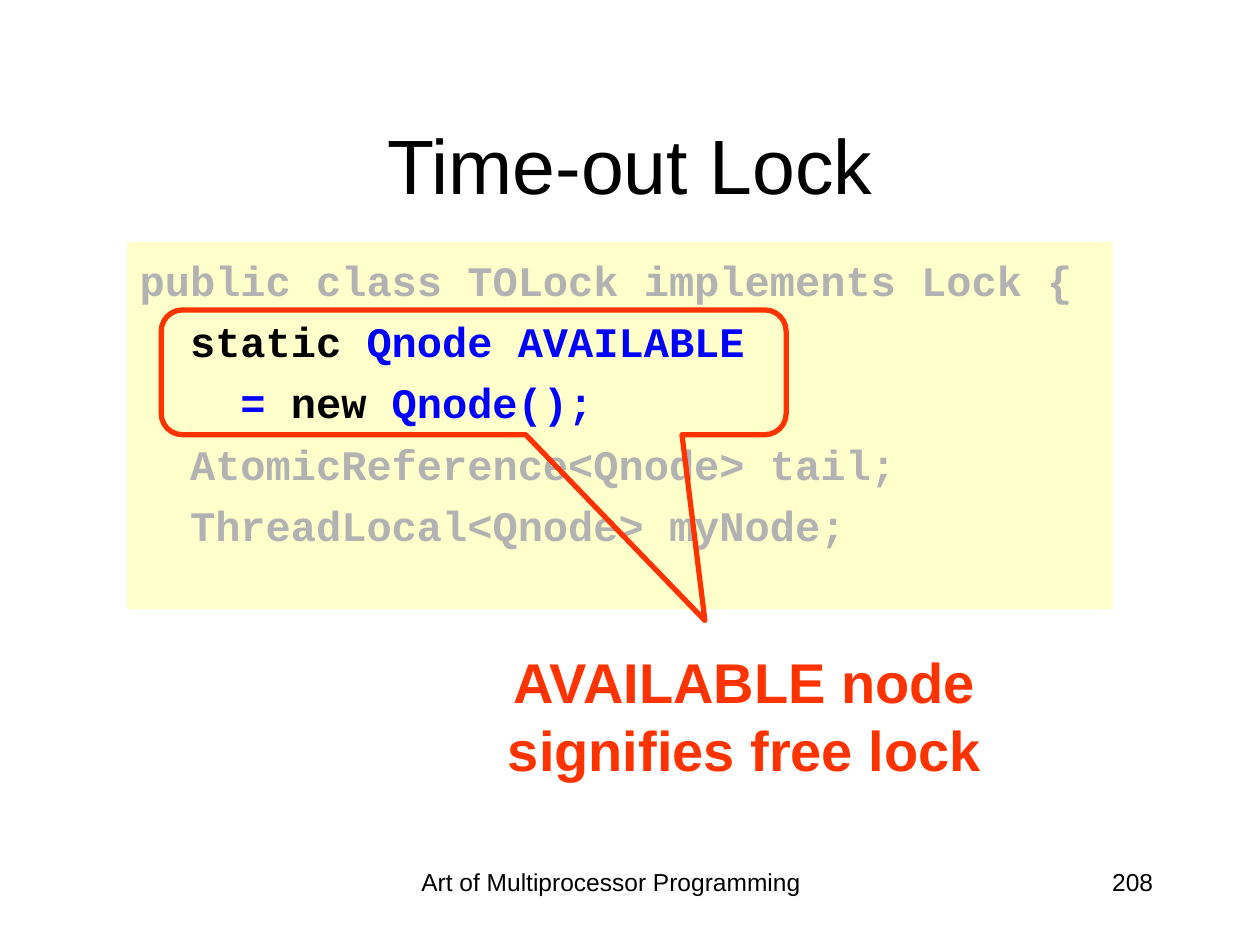
from dataclasses import dataclass

from pptx import Presentation
from pptx.dml.color import RGBColor
from pptx.enum.shapes import MSO_SHAPE
from pptx.enum.text import MSO_ANCHOR, PP_ALIGN
from pptx.util import Inches, Pt

CALLOUT = MSO_SHAPE.ROUNDED_RECTANGULAR_CALLOUT
RECTANGLE = MSO_SHAPE.RECTANGLE
TOP, MIDDLE = MSO_ANCHOR.TOP, MSO_ANCHOR.MIDDLE
LEFT, CENTER, RIGHT = PP_ALIGN.LEFT, PP_ALIGN.CENTER, PP_ALIGN.RIGHT
SLIDE_WIDTH, SLIDE_HEIGHT = 10, 7.5


@dataclass(frozen=True)
class Theme:
    sans: str = "Arial"
    mono: str = "Courier New"
    ink: str = "000000"
    accent: str = "FF3300"
    keyword: str = "000000"
    active: str = "0000FF"
    dimmed: str = "B2B2B2"
    code_fill: str = "FFFFCC"
    title_size: int = 44
    remark_size: int = 32
    code_size: int = 24
    footer_size: int = 14


THEME = Theme()


@dataclass(frozen=True)
class Area:
    """A region given as shares of the slide's width and height."""
    left: float
    top: float
    width: float
    height: float

    def box(self) -> tuple:
        return (Inches(self.left * SLIDE_WIDTH), Inches(self.top * SLIDE_HEIGHT),
                Inches(self.width * SLIDE_WIDTH), Inches(self.height * SLIDE_HEIGHT))


@dataclass(frozen=True)
class Label:
    text: str
    area: Area
    size: int
    align: PP_ALIGN = CENTER
    anchor: MSO_ANCHOR = TOP
    color: str = THEME.ink
    bold: bool = False


@dataclass(frozen=True)
class Token:
    text: str
    color: str


LABELS = (
    Label("Time-out Lock", Area(0.075, 0.09, 0.85, 0.166),
          THEME.title_size, anchor=MIDDLE),
    Label("AVAILABLE node signifies free lock", Area(0.315, 0.679, 0.552, 0.156),
          THEME.remark_size, color=THEME.accent, bold=True),
    Label("Art of Multiprocessor Programming", Area(0.289, 0.911, 0.392, 0.067),
          THEME.footer_size),
    Label("208", Area(0.717, 0.911, 0.208, 0.067), THEME.footer_size, RIGHT),
)

CODE_AREA = Area(0.101, 0.256, 0.782, 0.389)
CODE = (
    (Token("public class TOLock implements Lock {", THEME.dimmed),),
    (Token("  static", THEME.keyword), Token(" Qnode AVAILABLE", THEME.active)),
    (Token("    = ", THEME.active), Token("new", THEME.keyword),
     Token(" Qnode();", THEME.active)),
    (Token("  AtomicReference<Qnode> tail;", THEME.dimmed),),
    (Token("  ThreadLocal<Qnode> myNode;", THEME.dimmed),),
)

CALLOUT_AREA = Area(0.128, 0.328, 0.496, 0.132)
CALLOUT_SHAPE = (0.37, 1.99, 0.17)  # pointer x, pointer y, corner radius


def add_run(paragraph, text: str, font: str, size: int, color: str, bold: bool) -> None:
    run = paragraph.add_run()
    run.text = text
    run.font.name = font
    run.font.size = Pt(size)
    run.font.bold = bold
    run.font.color.rgb = RGBColor.from_string(color)


def add_label(slide, label: Label) -> None:
    frame = slide.shapes.add_textbox(*label.area.box()).text_frame
    frame.word_wrap = True
    frame.vertical_anchor = label.anchor
    paragraph = frame.paragraphs[0]
    paragraph.alignment = label.align
    add_run(paragraph, label.text, THEME.sans, label.size, label.color, label.bold)


def add_code(slide) -> None:
    panel = slide.shapes.add_shape(RECTANGLE, *CODE_AREA.box())
    panel.shadow.inherit = False
    panel.fill.solid()
    panel.fill.fore_color.rgb = RGBColor.from_string(THEME.code_fill)
    panel.line.fill.background()
    frame = panel.text_frame
    frame.word_wrap = True
    frame.vertical_anchor = TOP
    frame.margin_top = Inches(0.1)
    for row, tokens in enumerate(CODE):
        line = frame.add_paragraph() if row else frame.paragraphs[0]
        line.alignment = LEFT
        line.line_spacing = Pt(28.9)
        if row:
            line.space_before = Pt(6)
        for token in tokens:
            add_run(line, token.text, THEME.mono, THEME.code_size, token.color, True)


def add_callout(slide) -> None:
    callout = slide.shapes.add_shape(CALLOUT, *CALLOUT_AREA.box())
    callout.shadow.inherit = False
    callout.fill.background()
    callout.line.color.rgb = RGBColor.from_string(THEME.accent)
    callout.line.width = Pt(3)
    for index, value in enumerate(CALLOUT_SHAPE):
        callout.adjustments[index] = value


def main() -> None:
    deck = Presentation()
    deck.slide_width, deck.slide_height = Inches(SLIDE_WIDTH), Inches(SLIDE_HEIGHT)
    slide = deck.slides.add_slide(deck.slide_layouts[6])

    # Code panel
    add_code(slide)

    # Title, remark and footer
    for label in LABELS:
        add_label(slide, label)

    # Callout around the highlighted lines
    add_callout(slide)

    deck.save("out.pptx")


if __name__ == "__main__":
    main()
